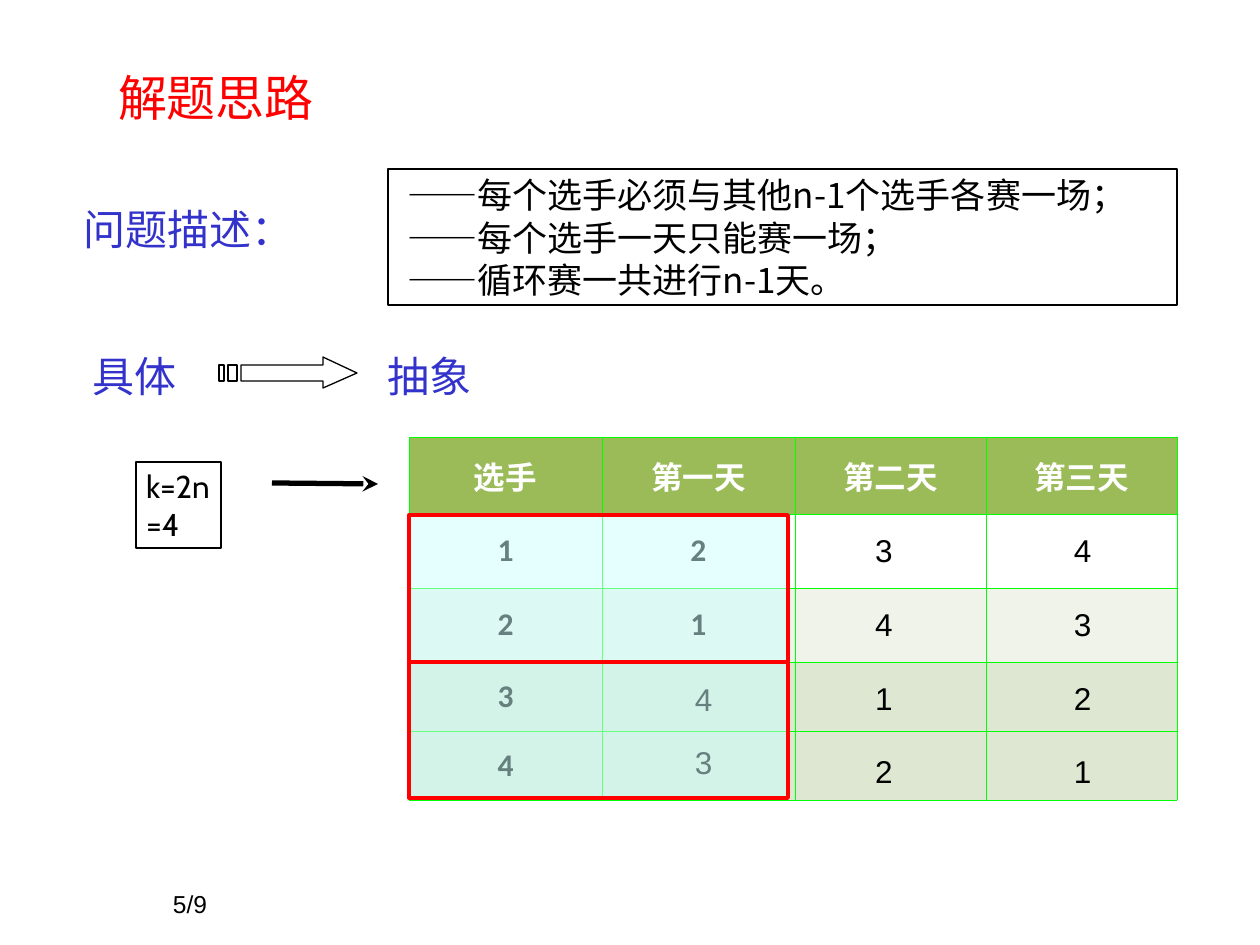
from lxml import etree
from pptx import Presentation
from pptx.dml.color import RGBColor
from pptx.enum.shapes import MSO_CONNECTOR, MSO_SHAPE
from pptx.enum.text import MSO_ANCHOR, PP_ALIGN
from pptx.oxml.ns import qn
from pptx.util import Pt

RECTANGLE = MSO_SHAPE.RECTANGLE
STRAIGHT = MSO_CONNECTOR.STRAIGHT
TOP, MIDDLE, BOTTOM = MSO_ANCHOR.TOP, MSO_ANCHOR.MIDDLE, MSO_ANCHOR.BOTTOM
LEFT, CENTER = PP_ALIGN.LEFT, PP_ALIGN.CENTER

SCALE = 914400 / 126
CJK = "Noto Sans CJK SC"
COLORS = {
    "black": "000000", "white": "FFFFFF", "red": "FF0000", "blue": "3333CC",
    "header": "9BBB59", "pale": "EFF3EA", "sage": "DEE7D1",
    "grid": "00FF00", "cover": "CCFFFF",
}

HEADINGS = [
    ("问题描述：", (73, 178, 1115, 81)),
    ("具体", (83, 325, 137, 81)),
    ("抽象", (378, 325, 137, 81)),
]
RULES = [
    "——每个选手必须与其他n-1个选手各赛一场；",
    "——每个选手一天只能赛一场；",
    "——循环赛一共进行n-1天。",
]
SCHEDULE = [
    ("选手", "第一天", "第二天", "第三天"),
    ("1", "2", "", ""),
    ("2", "1", "", ""),
    ("3", "", "", ""),
    ("4", "", "", ""),
]
ROW_FILLS = ["header", "white", "pale", "sage", "sage"]
COLUMN_WIDTHS = [193, 193, 191, 191]
ROW_HEIGHTS = [77, 74, 74, 69, 69]
LATER_DAYS = [("3", "4"), ("4", "3"), ("1", "2"), ("2", "1")]
LATER_LEFTS = [862, 1061]
LATER_TOPS = [525, 599, 673, 746]
FIRST_DAY = [("4", 682, 674), ("3", 682, 737)]
COVERS = [(409, 515, 379, 147), (409, 662, 379, 136)]
ARROW_PARTS = [
    [(323, 357), (323, 365), (241, 365), (241, 381), (323, 381), (323, 388), (357, 373)],
    [(228, 365), (228, 381), (237, 381), (237, 365)],
    [(219, 365), (219, 381), (224, 381), (224, 365)],
]


def px(value):
    return round(value * SCALE)


def color(name):
    return RGBColor.from_string(COLORS[name])


def write(frame, text, size=18, font="Arial", ink="black", bold=False,
          align=LEFT, spacing=None):
    for index, line in enumerate(text.split("\n")):
        para = frame.add_paragraph() if index else frame.paragraphs[0]
        para.alignment = align
        if spacing:
            para.line_spacing = spacing
        span = para.add_run()
        span.text = line
        span.font.size = Pt(size)
        span.font.bold = bold
        span.font.color.rgb = color(ink)
        span.font.name = font
        etree.SubElement(span.font._element, qn("a:ea"), typeface=CJK)


def add_text(page, text, bounds, insets=(13, 6), anchor=TOP, wrap=True,
             outlined=False, **style):
    bounds = [px(value) for value in bounds]
    if outlined:
        box = page.shapes.add_shape(RECTANGLE, *bounds)
        paint(box, None, "black", 0.75)
    else:
        box = page.shapes.add_textbox(*bounds)
    frame = box.text_frame
    frame.word_wrap = wrap
    frame.vertical_anchor = anchor
    frame.margin_left, frame.margin_top = px(insets[0]), px(insets[1])
    frame.margin_right, frame.margin_bottom = px(min(insets[0], 13)), px(insets[1])
    write(frame, text, **style)


def paint(shape, fill, line, width):
    shape.shadow.inherit = False
    shape.line.color.rgb = color(line)
    shape.line.width = Pt(width)
    if fill is None:
        shape.fill.background()
        return
    shape.fill.solid()
    shape.fill.fore_color.rgb = color(fill)
    tone = shape._element.spPr.find(qn("a:solidFill"))[0]
    etree.SubElement(tone, qn("a:alpha"), val="50000")


def add_striped_arrow(page):
    builder = None
    for start, *rest in ARROW_PARTS:
        if builder is None:
            builder = page.shapes.build_freeform(*start, scale=SCALE)
        else:
            builder.move_to(*start)
        builder.add_line_segments(rest, close=True)
    paint(builder.convert_to_shape(), "white", "black", 0.75)


def add_pointer(page):
    pointer = page.shapes.add_connector(STRAIGHT, px(272), px(483), px(378), px(484))
    pointer.line.color.rgb = color("black")
    pointer.line.width = Pt(3)
    etree.SubElement(pointer.line._get_or_add_ln(), qn("a:tailEnd"), type="stealth")
    etree.SubElement(pointer._element.spPr, qn("a:effectLst"))


def add_borders(cell):
    properties = cell._tc.get_or_add_tcPr()
    for index, side in enumerate(("lnL", "lnR", "lnT", "lnB")):
        line = etree.Element(qn("a:" + side), w=str(Pt(0.25)))
        fill = etree.SubElement(line, qn("a:solidFill"))
        etree.SubElement(fill, qn("a:srgbClr"), val=COLORS["grid"])
        properties.insert(index, line)


def add_schedule(page):
    table = page.shapes.add_table(
        len(ROW_HEIGHTS), len(COLUMN_WIDTHS), px(409), px(437),
        px(sum(COLUMN_WIDTHS)), px(sum(ROW_HEIGHTS))).table
    table.horz_banding = False
    for column, width in zip(table.columns, COLUMN_WIDTHS):
        column.width = px(width)
    for row, height, fill, texts in zip(table.rows, ROW_HEIGHTS, ROW_FILLS, SCHEDULE):
        row.height = px(height)
        ink = "white" if fill == "header" else "black"
        for cell, text in zip(row.cells, texts):
            cell.fill.solid()
            cell.fill.fore_color.rgb = color(fill)
            cell.vertical_anchor = MIDDLE
            add_borders(cell)
            if text:
                write(cell.text_frame, text, font="Calibri", ink=ink, bold=True,
                      align=CENTER)


def main():
    deck = Presentation()
    deck.slide_width, deck.slide_height = px(1260), px(945)
    page = deck.slides.add_slide(deck.slide_layouts[6])

    add_text(page, "5/9", (160, 861, 262, 63), anchor=BOTTOM, size=14)
    add_text(page, "解题思路", (105, 63, 852, 67), anchor=MIDDLE, size=28, ink="red")
    for text, bounds in HEADINGS:
        add_text(page, text, bounds, insets=(10, 5), size=24, font="Cabin",
                 ink="blue", spacing=1.4)
    add_text(page, "\n".join(RULES), (388, 169, 789, 136), insets=(19, 5),
             outlined=True, size=20, font=CJK)
    add_text(page, "k=2n=4", (136, 462, 85, 86), insets=(10, 5),
             outlined=True, font="Cabin")
    add_striped_arrow(page)
    add_pointer(page)
    add_schedule(page)

    opponents = FIRST_DAY + [
        (text, left, top)
        for top, texts in zip(LATER_TOPS, LATER_DAYS)
        for left, text in zip(LATER_LEFTS, texts)]
    for text, left, top in opponents:
        add_text(page, text, (left, top, 43, 50), wrap=False)
    for bounds in COVERS:
        cover = page.shapes.add_shape(RECTANGLE, *[px(value) for value in bounds])
        paint(cover, "cover", "red", 2.25)

    deck.save("out.pptx")


if __name__ == "__main__":
    main()
